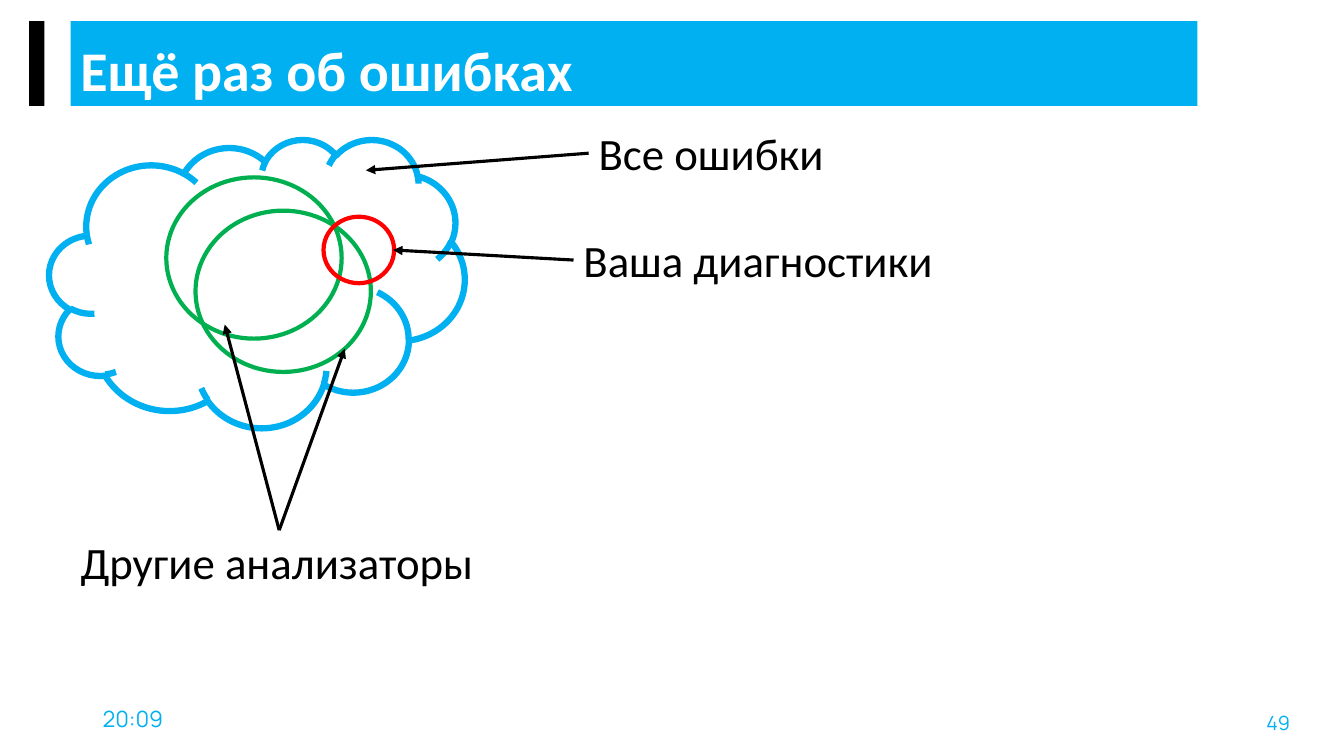
from lxml import etree
from pptx import Presentation, util as u
from pptx.dml.color import RGBColor
from pptx.enum import shapes, text
from pptx.oxml import ns

BLUE = RGBColor(0x00, 0xB0, 0xF0)
GREEN = RGBColor(0x00, 0xB0, 0x50)
RED = RGBColor(0xFF, 0x00, 0x00)
BLACK = RGBColor(0x00, 0x00, 0x00)
WHITE = RGBColor(0xFF, 0xFF, 0xFF)

prs = Presentation()
prs.slide_width, prs.slide_height = u.Inches(13.33), u.Inches(7.5)
s = prs.slides.add_slide(prs.slide_layouts[6])
COL = prs.slide_width / 40
ROW = prs.slide_height / 22.5


def grid(x, y, w, h):
    """Turn columns and rows into slide lengths."""
    return int(x * COL), int(y * ROW), int(w * COL), int(h * ROW)


def add_text(words, box, size=32, font="Calibri", color=BLACK, bold=False, wrap=True,
             align=text.PP_ALIGN.LEFT, anchor=text.MSO_ANCHOR.TOP, top=0.15, spacing=1.0):
    tf = s.shapes.add_textbox(*grid(*box)).text_frame
    tf.word_wrap = wrap
    tf.vertical_anchor = anchor
    tf.margin_top = int(top * ROW)
    p = tf.paragraphs[0]
    p.alignment, p.line_spacing = align, spacing
    r = p.add_run()
    r.text = words
    r.font.size, r.font.name, r.font.bold = u.Pt(size), font, bold
    r.font.color.rgb = color


# Title band and its side bar
for x, w, color in ((2.1, 33.54, BLUE), (0.87, 0.45, BLACK)):
    sp = s.shapes.add_shape(shapes.MSO_SHAPE.RECTANGLE, *grid(x, 0.63, w, 2.52))
    sp.shadow.inherit = False
    sp.fill.solid()
    sp.fill.fore_color.rgb = color
    sp.line.fill.background()

add_text("Ещё раз об ошибках", (2.1, 0.84, 36.33, 1.32), size=40, color=WHITE,
         bold=True, top=0.45, spacing=0.9)
add_text("20:09", (2.76, 20.85, 9, 1.2), size=16, font="Manrope", color=BLUE)
add_text("49", (36.63, 20.34, 2.82, 2.31), size=14, font="Manrope", color=BLUE,
         align=text.PP_ALIGN.CENTER, anchor=text.MSO_ANCHOR.MIDDLE)

# All errors, two other analyzers, your diagnostic
CLOUD, CIRCLE = shapes.MSO_SHAPE.CLOUD, shapes.MSO_SHAPE.FLOWCHART_CONNECTOR
for kind, box, color, width in (
    (CLOUD, (1.47, 4.14, 12.36, 8.58), BLUE, 4.5),
    (CIRCLE, (5.82, 6.27, 5.22, 4.8), GREEN, 3),
    (CIRCLE, (4.95, 5.28, 5.22, 4.8), GREEN, 3),
    (CIRCLE, (9.63, 6.45, 2.1, 1.98), RED, 3),
):
    sp = s.shapes.add_shape(kind, *grid(*box))
    sp.shadow.inherit = False
    sp.fill.background()
    sp.line.color.rgb = color
    sp.line.width = u.Pt(width)

# Labels and the arrows that start from them
for words, box, wrap, start, tips in (
    ("Все ошибки", (17.52, 3.6, 7.35, 1.92), False, (17.52, 4.56), [(10.89, 5.07)]),
    ("Ваша диагностики", (17.07, 6.78, 12.36, 1.92), True, (17.07, 7.74), [(11.7, 7.44)]),
    ("Другие анализаторы", (2.1, 15.78, 12.42, 1.92), False, (8.31, 15.78),
     [(10.26, 10.38), (6.69, 9.66)]),
):
    add_text(words, box, wrap=wrap)
    for tip in tips:
        arrow = s.shapes.add_connector(shapes.MSO_CONNECTOR.STRAIGHT, *grid(*start, *tip))
        arrow.line.color.rgb = BLACK
        arrow.line.width = u.Pt(2.25)
        etree.SubElement(arrow.line._get_or_add_ln(), ns.qn("a:tailEnd"), type="triangle")
        etree.SubElement(arrow._element.spPr, ns.qn("a:effectLst"))

prs.save("out.pptx")
